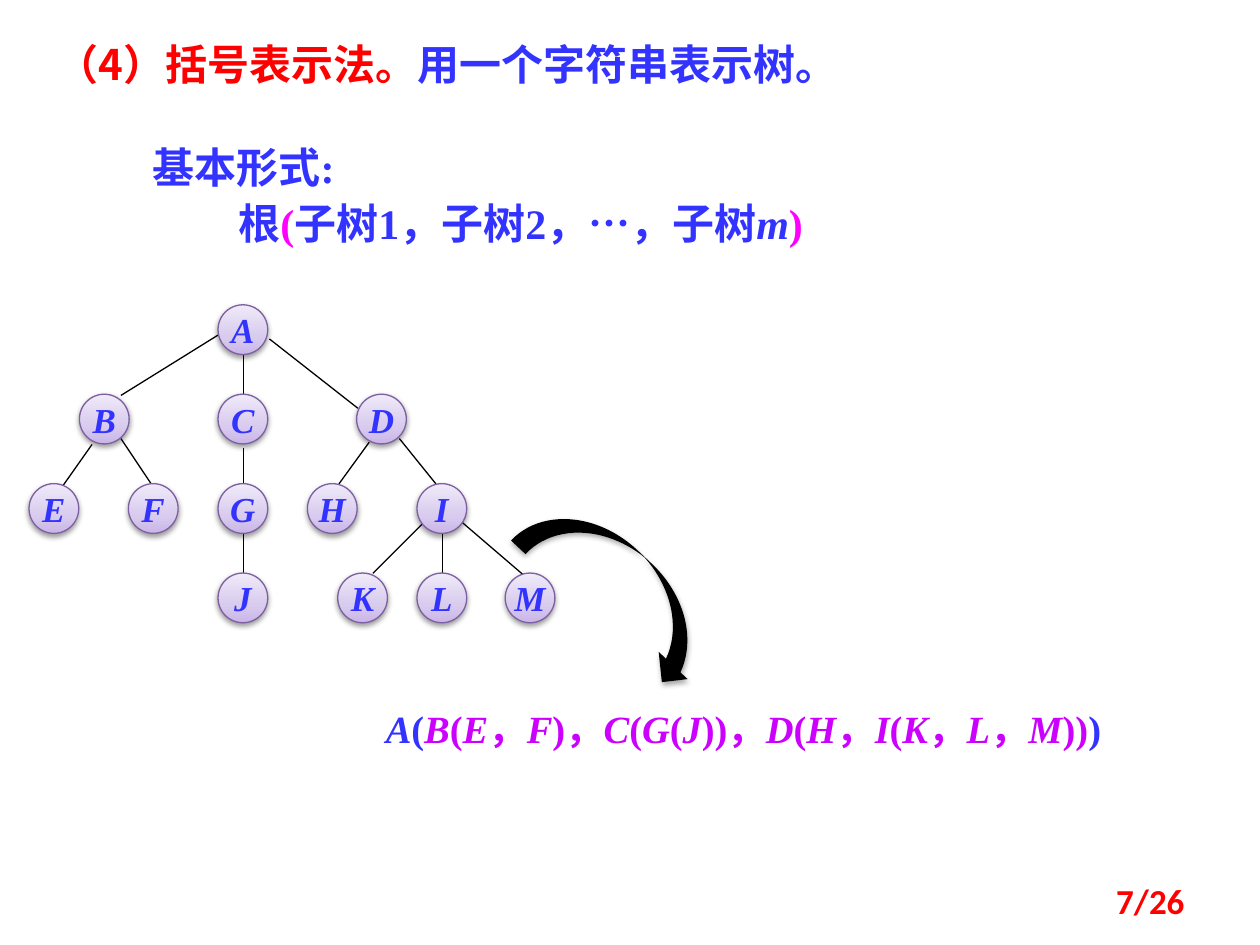
"""Build the slide on the bracket notation of a tree."""
from itertools import groupby

from lxml import etree
from pptx import Presentation
from pptx.dml.color import RGBColor
from pptx.enum.shapes import MSO_CONNECTOR, MSO_SHAPE
from pptx.enum.text import MSO_ANCHOR, MSO_AUTO_SIZE, PP_ALIGN
from pptx.oxml import parse_xml
from pptx.oxml.ns import nsdecls, qn
from pptx.util import Pt

STRAIGHT = MSO_CONNECTOR.STRAIGHT
OVAL, ARROW = MSO_SHAPE.OVAL, MSO_SHAPE.CURVED_DOWN_ARROW
TOP, MIDDLE = MSO_ANCHOR.TOP, MSO_ANCHOR.MIDDLE
LEFT, CENTER, RIGHT = PP_ALIGN.LEFT, PP_ALIGN.CENTER, PP_ALIGN.RIGHT
NO_FIT = MSO_AUTO_SIZE.NONE

BLACK = RGBColor(0x00, 0x00, 0x00)
RED = RGBColor(0xFF, 0x00, 0x00)
BLUE = RGBColor(0x33, 0x33, 0xFF)
PINK = RGBColor(0xFF, 0x00, 0xFF)
PURPLE = RGBColor(0xCC, 0x00, 0xFF)
NODE_LINE = RGBColor(0x7D, 0x60, 0xA0)
NODE_STOPS = [
    (0, RGBColor(0xC9, 0xB5, 0xE8)),
    (35, RGBColor(0xD8, 0xCB, 0xEE)),
    (100, RGBColor(0xF0, 0xEA, 0xF9)),
]
SERIF, SANS, PAGE_FONT = "Times New Roman", "Noto Sans CJK SC", "Calibri"


def add_run(p, text, size=24, font=SERIF, color=BLUE, italic=False):
    r = p.add_run()
    r.text = text
    r.font.size, r.font.name = Pt(size), font
    r.font.bold, r.font.italic = True, italic
    r.font.color.rgb = color
    etree.SubElement(r.font._element, qn("a:ea"), typeface=SANS)


def add_shadow(s, alpha, dist):
    s._element.spPr.append(parse_xml(
        f'<a:effectLst {nsdecls("a")}><a:outerShdw blurRad="{Pt(3.1)}" '
        f'dist="{Pt(dist)}" dir="5400000" rotWithShape="0"><a:srgbClr val="{BLACK}">'
        f'<a:alpha val="{alpha * 1000}"/></a:srgbClr></a:outerShdw></a:effectLst>'))


prs = Presentation()
prs.slide_width, prs.slide_height = Pt(720), Pt(540)
slide = prs.slides.add_slide(prs.slide_layouts[1])
title, body = slide.placeholders

for s, top, height in [(title, 15, 39), (body, 47, 98)]:
    s.left, s.top, s.width, s.height = Pt(25), Pt(top), Pt(644), Pt(height)
    s.text_frame.auto_size = NO_FIT
    s.text_frame.vertical_anchor = TOP

p = title.text_frame.paragraphs[0]
p.alignment, p.line_spacing = LEFT, Pt(32)
add_run(p, "（4）括号表示法。", font=SANS, color=RED)
add_run(p, "用一个字符串表示树。")

form, pattern = body.text_frame.paragraphs[0], body.text_frame.add_paragraph()
for p, indent, spacing in [(form, 55, 59), (pattern, 104, 32)]:
    p.line_spacing, p.space_before = Pt(spacing), Pt(0)
    pPr = p._p.get_or_add_pPr()
    pPr.set("marL", str(Pt(indent)))
    pPr.set("indent", "0")
    etree.SubElement(pPr, qn("a:buNone"))
add_run(form, "基本形式:")
add_run(pattern, "根")
add_run(pattern, "(", color=PINK)
add_run(pattern, "子树1，子树2，")
add_run(pattern, "…，", font=SANS)
add_run(pattern, "子树")
add_run(pattern, "m", italic=True)
add_run(pattern, ")", color=PINK)

edges = [
    (124.6, 191.5, 69.1, 226), (139, 203, 139, 225.4), (154, 193.7, 204.5, 233.3),
    (52.6, 254, 36, 277.5), (69.1, 250.6, 86.4, 276.5), (139, 256.3, 139, 276.5),
    (211, 252.7, 193.7, 276.5), (228.2, 250.6, 249.1, 276.5),
    (139, 304.6, 139, 327.6), (241.2, 299.5, 213.1, 327.6),
    (252.7, 304.6, 252.7, 327.6), (263.5, 298, 298.8, 328.3),
]
for edge in edges:
    s = slide.shapes.add_connector(STRAIGHT, *map(Pt, edge))
    s.line.color.rgb, s.line.width = BLACK, Pt(0.75)
    etree.SubElement(s._element.spPr, qn("a:effectLst"))

levels = [
    [("A", 124.6)],
    [("B", 45.4), ("C", 124.6), ("D", 203.8)],
    [("E", 16.6), ("F", 73.4), ("G", 124.6), ("H", 175.7), ("I", 238.3)],
    [("J", 124.6), ("K", 193), ("L", 238.3), ("M", 288.7)],
]
stops = "".join(f'<a:gs pos="{pos * 1000}"><a:srgbClr val="{color}"/></a:gs>'
                for pos, color in NODE_STOPS)
for row, level in enumerate(levels):
    for name, left in level:
        s = slide.shapes.add_shape(OVAL, Pt(left), Pt(174.2 + 51.1 * row), Pt(28.4), Pt(28.4))
        s._element.spPr.append(parse_xml(
            f'<a:gradFill {nsdecls("a")} rotWithShape="1"><a:gsLst>{stops}</a:gsLst>'
            '<a:lin ang="16200000" scaled="0"/></a:gradFill>'))
        s.line.color.rgb, s.line.width = NODE_LINE, Pt(0.75)
        add_shadow(s, 38, 1.6)
        tf = s.text_frame
        tf.word_wrap, tf.vertical_anchor = False, MIDDLE
        tf.paragraphs[0].alignment = CENTER
        add_run(tf.paragraphs[0], name, size=20, italic=True)

s = slide.shapes.add_shape(ARROW, Pt(290), Pt(314), Pt(129.6), Pt(45.4))
s.rotation = 43.2
s.fill.solid()
s.fill.fore_color.rgb = BLACK
s.line.fill.background()
add_shadow(s, 35, 1.8)

formula = slide.shapes.add_textbox(Pt(191.5), Pt(399.6), Pt(466.6), Pt(34))
page = slide.shapes.add_textbox(Pt(516), Pt(500.4), Pt(168), Pt(28.8))
for s, align, anchor in [(formula, CENTER, TOP), (page, RIGHT, MIDDLE)]:
    s.text_frame.word_wrap, s.text_frame.vertical_anchor = True, anchor
    s.text_frame.paragraphs[0].alignment = align

parts = [("A(", BLUE), ("B(E，F)，C(G(J))，D(H，I(K，L，M))", PURPLE), (")", BLUE)]
for text, color in parts:
    for is_node, chars in groupby(text, str.isalpha):
        add_run(formula.text_frame.paragraphs[0], "".join(chars), size=22,
                color=color, italic=is_node)
add_run(page.text_frame.paragraphs[0], "7/26", size=20, font=PAGE_FONT, color=RED)

prs.save("out.pptx")
